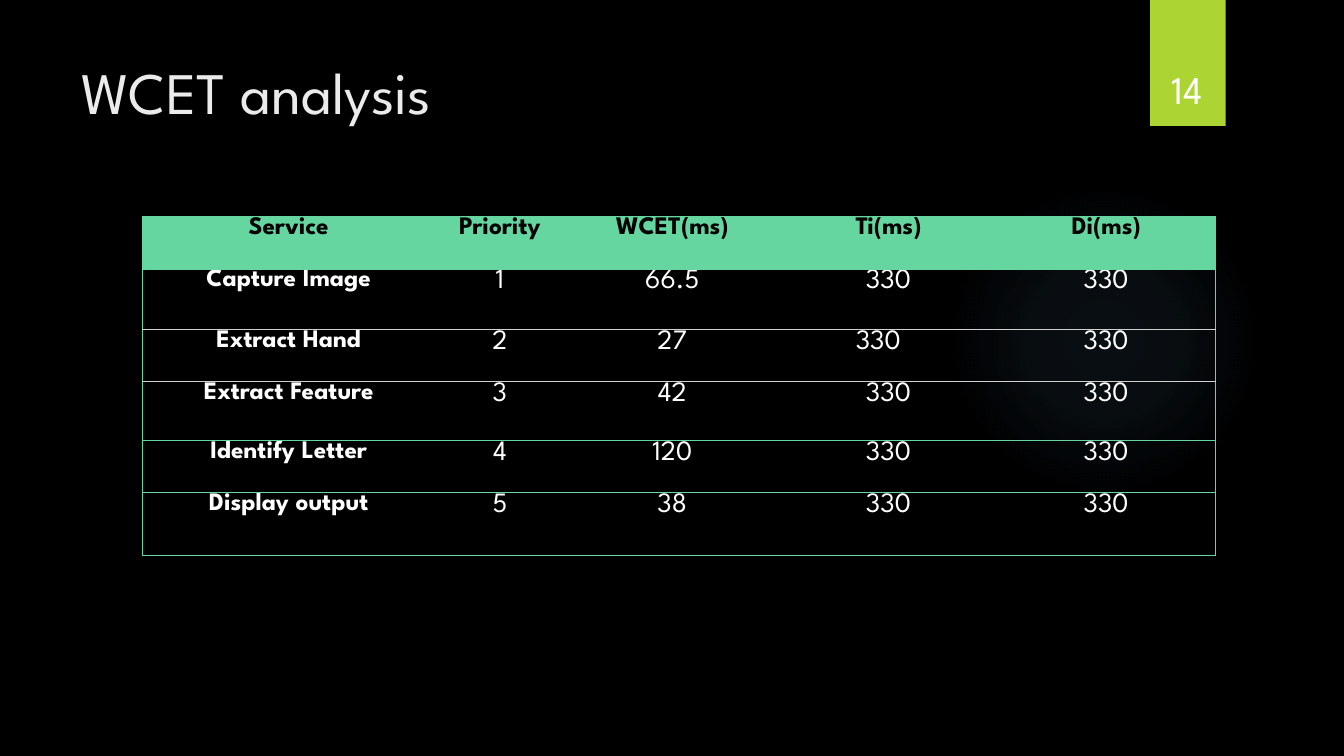
from dataclasses import dataclass

import lxml.etree
import pptx
import pptx.dml.color
import pptx.enum.shapes
import pptx.enum.text
import pptx.oxml
import pptx.oxml.ns
import pptx.util

Pt = pptx.util.Pt
Color = pptx.dml.color.RGBColor
Align = pptx.enum.text.PP_ALIGN
Anchor = pptx.enum.text.MSO_ANCHOR
Kind = pptx.enum.shapes.MSO_SHAPE

BLACK = Color(0x00, 0x00, 0x00)
WHITE = Color(0xFF, 0xFF, 0xFF)
PALE = Color(0xEB, 0xEB, 0xEB)
GRAY = Color(0xD0, 0xD0, 0xD0)
GREEN = Color(0x65, 0xD6, 0xA0)
LIME = Color(0xAC, 0xD4, 0x33)
BLUE = Color(0x7A, 0xC4, 0xF0)
FONT = "League Spartan"

WIDTHS = [209.5, 92.2, 154.1, 154.8, 156.2]
HEIGHTS = [37.4, 43.2, 37.4, 41.8, 37.4, 44.6]
RULES = [GREEN, GREEN, GRAY, GRAY, GREEN, GREEN, GREEN]
HEAD = ["Service", "Priority", "WCET(ms)", "Ti(ms)", "Di(ms)"]
PERIOD = "330"
INSET = 5
INDENT = 54


@dataclass
class Label:
    text: str
    left: float
    top: float
    width: float
    height: float
    size: float
    color: Color
    align: Align
    anchor: Anchor


@dataclass
class Task:
    name: str
    time: str
    shifted: bool = False


LABELS = [
    Label("WCET analysis", 51.1, 36, 740.9, 110.2, 42, PALE, Align.LEFT, Anchor.TOP),
    Label("14", 815, 23, 66.2, 60.5, 28, WHITE, Align.CENTER, Anchor.BOTTOM),
]
TASKS = [
    Task("Capture Image", "66.5"),
    Task("Extract Hand", "27", True),
    Task("Extract Feature", "42"),
    Task("Identify Letter", "120"),
    Task("Display output", "38"),
]


def style(para, size: float, color: Color, bold: bool, align: Align) -> None:
    para.alignment = align
    para.font.name = FONT
    para.font.size = Pt(size)
    para.font.bold = bold
    para.font.color.rgb = color


def draw_label(slide, label: Label) -> None:
    box = slide.shapes.add_textbox(
        Pt(label.left), Pt(label.top), Pt(label.width), Pt(label.height))
    frame = box.text_frame
    frame.word_wrap = True
    frame.vertical_anchor = label.anchor
    para = frame.paragraphs[0]
    para.text = label.text
    style(para, label.size, label.color, False, label.align)


def draw_shape(slide, kind: Kind, left: float, top: float, width: float, height: float):
    shape = slide.shapes.add_shape(kind, Pt(left), Pt(top), Pt(width), Pt(height))
    shape.shadow.inherit = False
    shape.line.fill.background()
    shape.fill.solid()
    return shape


def draw_glow(slide) -> None:
    glow = draw_shape(slide, Kind.OVAL, 677.5, 131.8, 221.8, 221.8)
    stops = "".join(
        f'<a:gs pos="{place * 1000}"><a:srgbClr val="{BLUE}">'
        f'<a:alpha val="{alpha * 1000}"/></a:srgbClr></a:gs>'
        for place, alpha in [(0, 7), (36, 6), (69, 0)])
    grad = pptx.oxml.parse_xml(
        f'<a:gradFill {pptx.oxml.ns.nsdecls("a")}><a:gsLst>{stops}</a:gsLst>'
        '<a:path path="circle"><a:fillToRect l="50000" t="50000" r="50000" b="50000"/>'
        '</a:path></a:gradFill>')
    props = glow.element.spPr
    props.replace(props.find(pptx.oxml.ns.qn("a:solidFill")), grad)


def add_edge(cell, side: str, color: Color | None) -> None:
    qn = pptx.oxml.ns.qn
    props = cell._tc.get_or_add_tcPr()
    edge = lxml.etree.SubElement(props, qn(f"a:ln{side}"), w=str(Pt(0.75)))
    if color is None:
        lxml.etree.SubElement(edge, qn("a:noFill"))
    else:
        fill = lxml.etree.SubElement(edge, qn("a:solidFill"))
        lxml.etree.SubElement(fill, qn("a:srgbClr"), val=str(color))


def draw_cell(cell, text: str, row: int, col: int, shifted: bool) -> None:
    edges = {
        "L": GREEN if col == 0 else None,
        "R": GREEN if col == len(WIDTHS) - 1 else None,
        "T": RULES[row],
        "B": RULES[row + 1],
    }
    for side, color in edges.items():
        add_edge(cell, side, color)
    if row == 0:
        cell.fill.solid()
        cell.fill.fore_color.rgb = GREEN
    else:
        cell.fill.background()
    cell.margin_left = Pt(INDENT if shifted else INSET)
    cell.margin_right = Pt(INSET)
    cell.margin_top = cell.margin_bottom = Pt(0)
    bold = row == 0 or col == 0
    para = cell.text_frame.paragraphs[0]
    para.text = text
    style(para, 18 if bold else 20, WHITE if row else BLACK, bold,
          Align.LEFT if shifted else Align.CENTER)


def draw_table(slide) -> None:
    table = slide.shapes.add_table(
        len(HEIGHTS), len(WIDTHS), Pt(101.5), Pt(154.8),
        Pt(sum(WIDTHS)), Pt(sum(HEIGHTS))).table
    table.first_row = False
    table.horz_banding = False
    for column, width in zip(table.columns, WIDTHS):
        column.width = Pt(width)
    for line, height in zip(table.rows, HEIGHTS):
        line.height = Pt(height)
    for col, text in enumerate(HEAD):
        draw_cell(table.cell(0, col), text, 0, col, False)
    for row, task in enumerate(TASKS, 1):
        texts = [task.name, str(row), task.time, PERIOD, PERIOD]
        for col, text in enumerate(texts):
            draw_cell(table.cell(row, col), text, row, col, task.shifted and col == 3)


def main() -> None:
    deck = pptx.Presentation()
    deck.slide_width, deck.slide_height = Pt(960), Pt(540)
    slide = deck.slides.add_slide(deck.slide_layouts[6])
    slide.background.fill.solid()
    slide.background.fill.fore_color.rgb = BLACK
    draw_glow(slide)
    tab = draw_shape(slide, Kind.RECTANGLE, 821.5, 0, 54, 90)
    tab.fill.fore_color.rgb = LIME
    draw_table(slide)
    for label in LABELS:
        draw_label(slide, label)
    deck.save("out.pptx")


if __name__ == "__main__":
    main()
